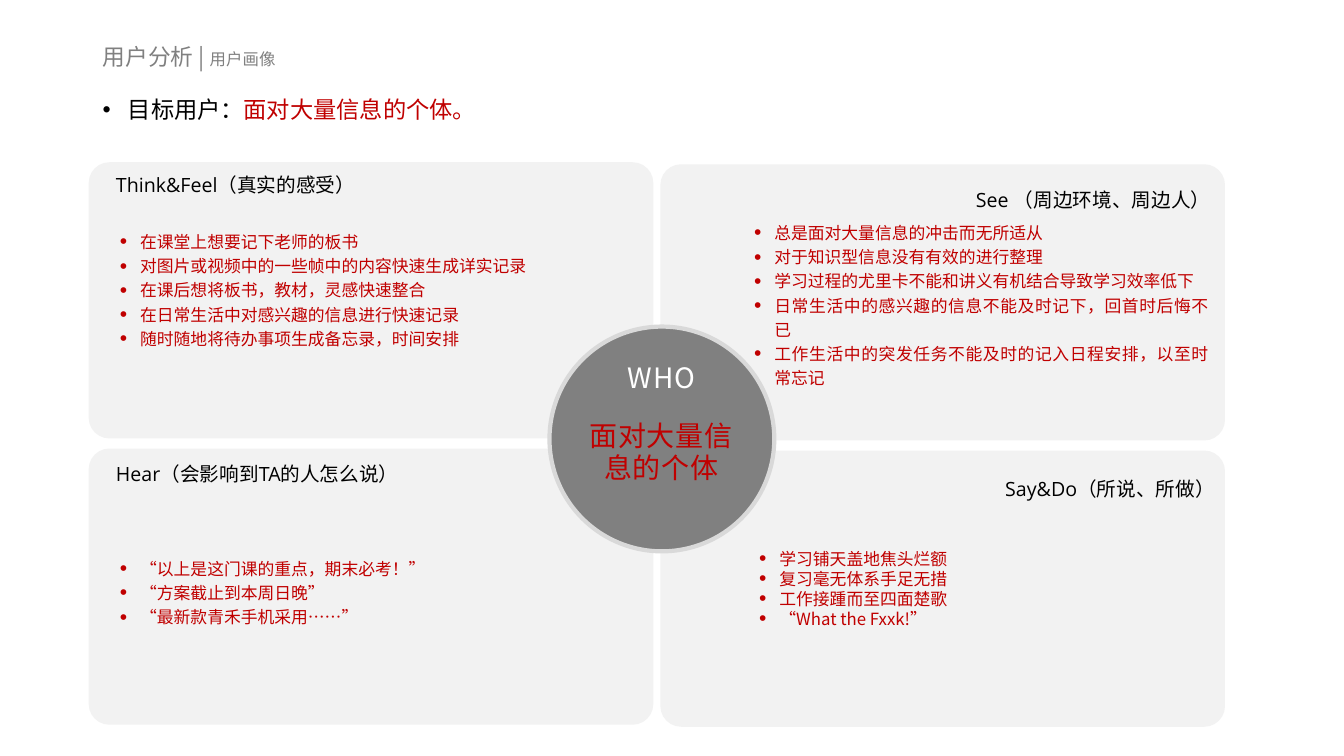
import pptx
import pptx.util
import pptx.dml.color
import pptx.enum.shapes
import pptx.enum.text
from dataclasses import dataclass
from lxml import etree
from pptx.oxml.ns import qn

Inches = pptx.util.Inches
Pt = pptx.util.Pt
Align = pptx.enum.text.PP_ALIGN
Anchor = pptx.enum.text.MSO_ANCHOR
Shape = pptx.enum.shapes.MSO_SHAPE


@dataclass(frozen=True)
class Theme:
    """Colours, fonts and type sizes of the slide."""
    black: str = "000000"
    white: str = "FFFFFF"
    red: str = "C00000"
    grey: str = "808080"
    ring: str = "D9D9D9"
    panel: str = "F2F2F2"
    chinese: str = "Noto Sans CJK SC"
    latin: str = "Open Sans"
    title: float = 16.2
    subtitle: float = 11.7
    lead: float = 16.6
    heading: float = 14
    item: float = 12
    who: float = 20


def colour(code):
    """Turn a hex code into a colour."""
    return pptx.dml.color.RGBColor.from_string(code)


class Painter:
    """Draws styled elements on the current slide."""

    def __init__(self, page, theme):
        """Keep the slide and its style."""
        self.page, self.theme = page, theme

    def shape(self, kind, at, fill, ring=None):
        """Add a filled preset shape with an optional outline."""
        shape = self.page.shapes.add_shape(kind, *map(Inches, at))
        shape.shadow.inherit = False
        shape.fill.solid()
        shape.fill.fore_color.rgb = colour(fill)
        if ring:
            shape.line.color.rgb = colour(ring)
            shape.line.width = Pt(3)
        else:
            shape.line.fill.background()
        return shape

    def box(self, at, inset=(0.1, 0.05), anchor=Anchor.TOP):
        """Add an empty wrapping text box and return its frame."""
        frame = self.page.shapes.add_textbox(*map(Inches, at)).text_frame
        side, end = map(Inches, inset)
        formats = {"word_wrap": True, "vertical_anchor": anchor,
                   "margin_left": side, "margin_right": side,
                   "margin_top": end, "margin_bottom": end}
        for name, value in formats.items():
            setattr(frame, name, value)
        return frame

    def fill_para(self, para, spans, font=None, spacing=None, **formats):
        """Fill a paragraph with (text, size, colour) spans."""
        for name, value in formats.items():
            setattr(para, name, value)
        for text, size, code in spans:
            span = para.add_run()
            span.text = text
            for name, value in {"size": Pt(size), "name": font or self.theme.chinese}.items():
                setattr(span.font, name, value)
            span.font.color.rgb = colour(code)
            properties = span._r.get_or_add_rPr()
            etree.SubElement(properties, qn("a:ea"), typeface=self.theme.chinese)
            if spacing:
                properties.set("spc", str(int(spacing * 100)))

    def bullet(self, para, indent, percent=100):
        """Give a paragraph a hanging round bullet."""
        properties = para._p.get_or_add_pPr()
        properties.set("marL", str(Inches(indent)))
        properties.set("indent", str(-Inches(indent)))
        etree.SubElement(properties, qn("a:buSzPct"), val=str(percent * 1000))
        etree.SubElement(properties, qn("a:buFont"), typeface="Arial")
        etree.SubElement(properties, qn("a:buChar"), char="•")

    def items(self, at, lines, pitch):
        """Add a red bulleted list with a fixed line pitch in points."""
        frame = self.box(at, (0.05, 0.05))
        for number, line in enumerate(lines):
            para = frame.add_paragraph() if number else frame.paragraphs[0]
            self.fill_para(para, [(line, self.theme.item, self.theme.red)],
                           alignment=Align.JUSTIFY, line_spacing=Pt(pitch))
            self.bullet(para, 0.2, 125)

    def heading(self, at, text):
        """Add the heading of a panel."""
        frame = self.box(at, (0.06, 0.06))
        self.fill_para(frame.paragraphs[0], [(text, self.theme.heading, self.theme.black)],
                       font=self.theme.latin)


QUADRANTS = [
    ("Think&Feel（真实的感受）", (1.09, 1.66, 3.96, 0.35), (1.14, 2.21, 4.44, 1.3), 17.3,
     ["在课堂上想要记下老师的板书",
      "对图片或视频中的一些帧中的内容快速生成详实记录",
      "在课后想将板书，教材，灵感快速整合",
      "在日常生活中对感兴趣的信息进行快速记录",
      "随时随地将待办事项生成备忘录，时间安排"]),
    ("See （周边环境、周边人）", (9.62, 1.8, 2.6, 0.35), (7.43, 2.12, 4.61, 1.8), 17.3,
     ["总是面对大量信息的冲击而无所适从",
      "对于知识型信息没有有效的进行整理",
      "学习过程的尤里卡不能和讲义有机结合导致学习效率低下",
      "日常生活中的感兴趣的信息不能及时记下，回首时后悔不已",
      "工作生活中的突发任务不能及时的记入日程安排，以至时常忘记"]),
    ("Hear（会影响到TA的人怎么说）", (1.09, 4.52, 5.09, 0.35), (1.14, 5.45, 4.44, 1), 17.3,
     ["“以上是这门课的重点，期末必考！”",
      "“方案截止到本周日晚”",
      "“最新款青禾手机采用……”"]),
    ("Say&Do（所说、所做）", (9.91, 4.67, 2.6, 0.35), (7.48, 5.39, 4.28, 0.9), 14.4,
     ["学习铺天盖地焦头烂额",
      "复习毫无体系手足无措",
      "工作接踵而至四面楚歌",
      "“What the Fxxk!”"]),
]


def draw_titles(painter):
    """Draw the slide title and the lead line."""
    theme = painter.theme
    title = painter.box((0.92, 0.4, 11.5, 0.35), anchor=Anchor.MIDDLE)
    painter.fill_para(title.paragraphs[0],
                      [("用户分析 | ", theme.title, theme.grey),
                       ("用户画像", theme.subtitle, theme.grey)], line_spacing=0.9)
    lead = painter.box((0.92, 0.95, 11.5, 0.35)).paragraphs[0]
    painter.fill_para(lead, [("目标用户：", theme.lead, theme.black),
                             ("面对大量信息的个体。", theme.lead, theme.red)],
                      line_spacing=0.8)
    painter.bullet(lead, 0.25)


def draw_panels(painter):
    """Draw the two by two panels, the right column slightly lower."""
    for number in range(len(QUADRANTS)):
        row, column = divmod(number, 2)
        at = (0.88 + 5.67 * column, 1.61 + 2.84 * row + 0.02 * column, 5.6, 2.74)
        panel = painter.shape(Shape.ROUNDED_RECTANGLE, at, painter.theme.panel)
        panel.adjustments[0] = 0.075


def draw_who(painter):
    """Draw the central circle and its two texts."""
    theme = painter.theme
    painter.shape(Shape.OVAL, (5.45, 3.24, 2.23, 2.23), theme.grey, theme.ring)
    label = painter.box((5.77, 3.55, 1.58, 0.39), (0.06, 0.06), Anchor.MIDDLE)
    painter.fill_para(label.paragraphs[0], [("WHO", theme.who, theme.white)],
                      spacing=0.5, alignment=Align.CENTER)
    answer = painter.box((5.74, 4.11, 1.64, 0.77))
    painter.fill_para(answer.paragraphs[0], [("面对大量信息的个体", theme.who, theme.red)],
                      spacing=0.5, alignment=Align.CENTER, line_spacing=Pt(23.2))


def main():
    """Build and save the deck."""
    deck = pptx.Presentation()
    deck.slide_width, deck.slide_height = Inches(13.33), Inches(7.5)
    painter = Painter(deck.slides.add_slide(deck.slide_layouts[6]), Theme())
    draw_titles(painter)
    draw_panels(painter)
    draw_who(painter)
    for heading, heading_at, items_at, pitch, lines in QUADRANTS:
        painter.heading(heading_at, heading)
        painter.items(items_at, lines, pitch)
    deck.save("out.pptx")


main()
